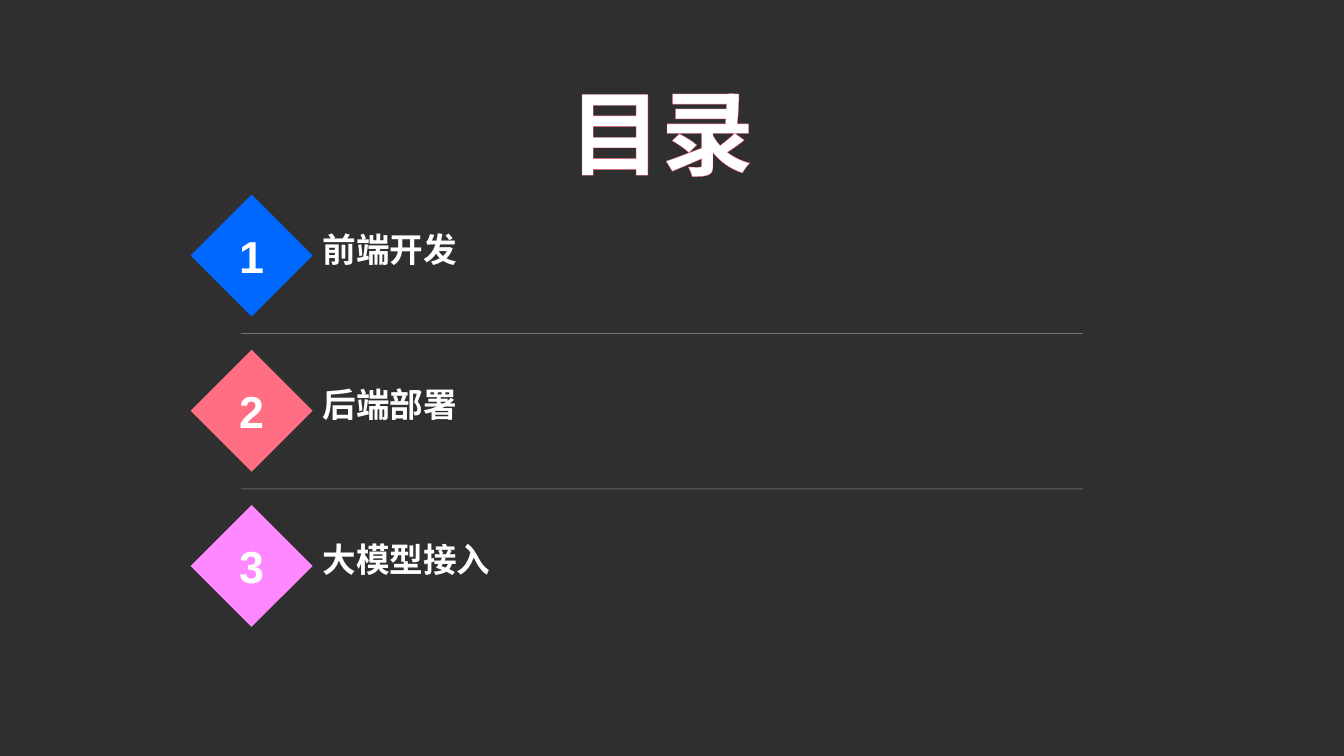
from dataclasses import dataclass

import lxml.etree
import pptx
import pptx.dml.color
import pptx.enum.shapes
import pptx.enum.text
import pptx.oxml.ns
import pptx.slide
import pptx.text.text
import pptx.util
from pptx.util import Inches

COLORS = {
    "background": "2F2F2F",
    "white": "FFFFFF",
    "blue": "0067FF",
    "coral": "FF6E83",
    "pink": "FE88FF",
}
FIRST_TOP = 1.93
ROW_PITCH = 1.54
DIAMOND_LEFT = 1.89
DIAMOND_SIZE = 1.21


@dataclass
class Chapter:
    number: int
    name: str
    color: str


CHAPTERS = [
    Chapter(1, "前端开发", "blue"),
    Chapter(2, "后端部署", "coral"),
    Chapter(3, "大模型接入", "pink"),
]


def rgb(name: str) -> pptx.dml.color.RGBColor:
    return pptx.dml.color.RGBColor.from_string(COLORS[name])


def write_text(
    frame: pptx.text.text.TextFrame,
    text: str,
    size: int,
    alignment: pptx.enum.text.PP_ALIGN,
    anchor: pptx.enum.text.MSO_ANCHOR,
    wrap: bool = True,
) -> None:
    frame.text = text
    frame.word_wrap = wrap
    frame.auto_size = pptx.enum.text.MSO_AUTO_SIZE.NONE
    frame.vertical_anchor = anchor
    paragraph = frame.paragraphs[0]
    paragraph.alignment = alignment
    paragraph.font.name = "Arial"
    paragraph.font.size = pptx.util.Pt(size)
    paragraph.font.bold = True
    paragraph.font.color.rgb = rgb("white")


def outline_run(run: pptx.text.text._Run, color: str, width: float) -> None:
    """Draw a thin line around the letters of a run."""
    qualify = pptx.oxml.ns.qn
    line = lxml.etree.Element(qualify("a:ln"), w=str(pptx.util.Pt(width)))
    fill = lxml.etree.SubElement(line, qualify("a:solidFill"))
    lxml.etree.SubElement(fill, qualify("a:srgbClr"), val=COLORS[color])
    run.font._element.insert(0, line)


def add_title(slide: pptx.slide.Slide) -> None:
    title = slide.shapes.title
    title.left, title.top = Inches(0.62), Inches(0.76)
    title.width, title.height = Inches(11.88), Inches(1.14)
    write_text(
        title.text_frame,
        "目录",
        66,
        pptx.enum.text.PP_ALIGN.CENTER,
        pptx.enum.text.MSO_ANCHOR.BOTTOM,
        wrap=False,
    )
    outline_run(title.text_frame.paragraphs[0].runs[0], "coral", 0.52)


def add_divider(slide: pptx.slide.Slide, y: float) -> None:
    """Add a half-transparent hairline below a chapter."""
    qualify = pptx.oxml.ns.qn
    divider = slide.shapes.add_connector(
        pptx.enum.shapes.MSO_CONNECTOR.STRAIGHT,
        Inches(2.39), Inches(y), Inches(10.74), Inches(y),
    )
    divider.line.width = pptx.util.Pt(0.25)
    divider.line.color.rgb = rgb("white")
    properties = divider._element.spPr
    color = properties.find(".//" + qualify("a:srgbClr"))
    lxml.etree.SubElement(color, qualify("a:alpha"), val="50000")
    lxml.etree.SubElement(properties, qualify("a:effectLst"))


def add_chapter(slide: pptx.slide.Slide, chapter: Chapter, top: float) -> None:
    middle = pptx.enum.text.MSO_ANCHOR.MIDDLE
    diamond = slide.shapes.add_shape(
        pptx.enum.shapes.MSO_SHAPE.DIAMOND,
        Inches(DIAMOND_LEFT), Inches(top), Inches(DIAMOND_SIZE), Inches(DIAMOND_SIZE),
    )
    diamond.shadow.inherit = False
    diamond.fill.solid()
    diamond.fill.fore_color.rgb = rgb(chapter.color)
    diamond.line.fill.background()
    write_text(
        diamond.text_frame, str(chapter.number), 32,
        pptx.enum.text.PP_ALIGN.CENTER, middle,
    )
    label = slide.shapes.add_textbox(
        Inches(DIAMOND_LEFT + DIAMOND_SIZE), Inches(top + 0.13), Inches(5.77), Inches(0.82)
    )
    write_text(label.text_frame, chapter.name, 24, pptx.enum.text.PP_ALIGN.LEFT, middle)


def main() -> None:
    presentation = pptx.Presentation()
    presentation.slide_width = Inches(13.33)
    presentation.slide_height = Inches(7.5)
    slide = presentation.slides.add_slide(presentation.slide_layouts.get_by_name("Title Only"))
    slide.background.fill.solid()
    slide.background.fill.fore_color.rgb = rgb("background")

    add_title(slide)
    for index, chapter in enumerate(CHAPTERS):
        top = FIRST_TOP + index * ROW_PITCH
        add_chapter(slide, chapter, top)
        if index < len(CHAPTERS) - 1:
            add_divider(slide, top + 1.38)

    presentation.save("out.pptx")


if __name__ == "__main__":
    main()
